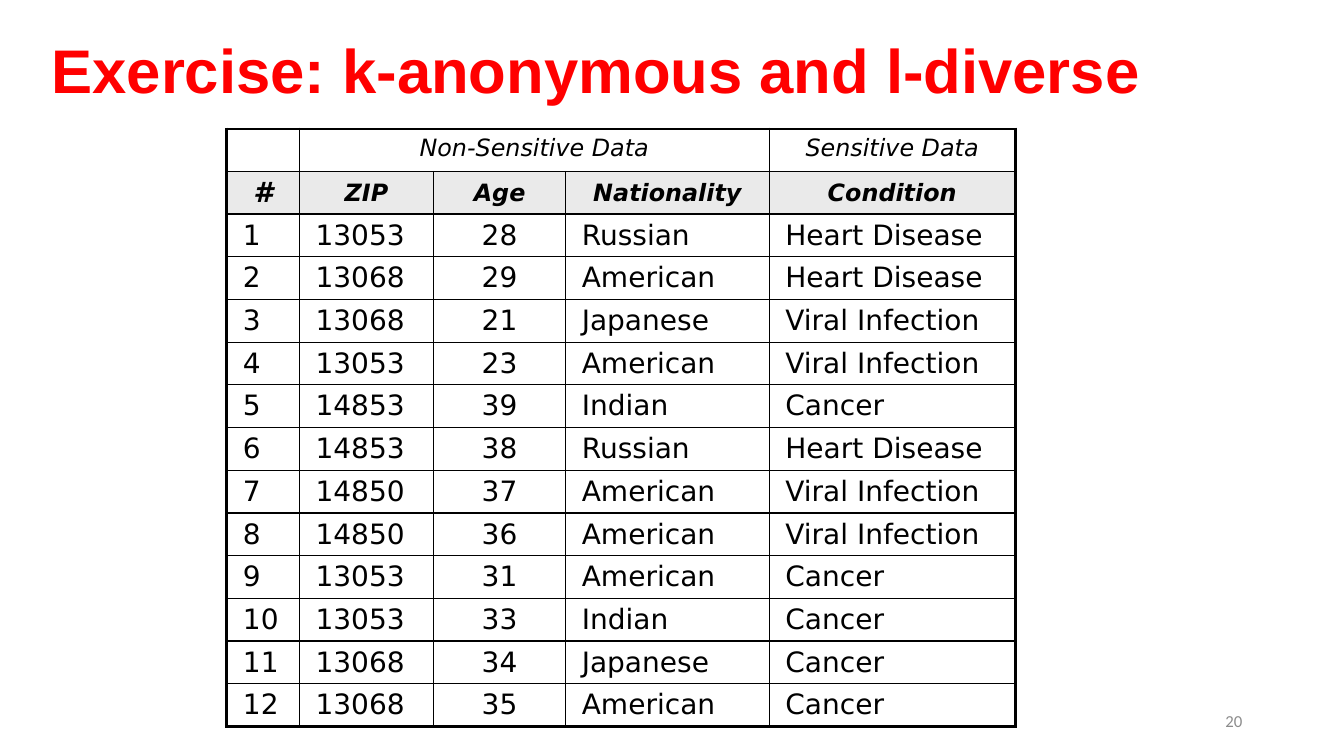
from dataclasses import dataclass
from typing import Any, NamedTuple

from lxml.etree import SubElement
from pptx import Presentation
from pptx.dml.color import RGBColor as Color
from pptx.enum.text import MSO_ANCHOR as Anchor, MSO_AUTO_SIZE as AutoSize, PP_ALIGN as Align
from pptx.oxml.ns import qn
from pptx.util import Emu, Inches, Pt


@dataclass(frozen=True)
class Theme:
    title: str = "FF0000"
    ink: str = "000000"
    header: str = "EAEAEA"
    paper: str = "FFFFFF"
    footer: str = "8C8C8C"
    title_size: int = 44
    body_size: int = 20
    header_size: int = 17
    footer_size: int = 12
    thin: float = 1
    thick: float = 2.25
    title_font: str = "Arial"
    table_font: str = "DejaVu Sans"
    footer_font: str = "Calibri"


class Area(NamedTuple):
    left: float
    top: float
    width: float
    height: float


class Style(NamedTuple):
    font: str
    size: int
    color: str
    align: Align = Align.LEFT
    bold: bool = False
    italic: bool = False


class Patient(NamedTuple):
    zip_code: str
    age: str
    nationality: str
    condition: str


THEME = Theme()
SLIDE_WIDTH, SLIDE_HEIGHT = Inches(13.33), Inches(7.5)
TITLE_AREA = Area(3.08, 0, 86.27, 19.33)
NUMBER_AREA = Area(70.67, 92.67, 22.5, 5.33)
TABLE_LEFT, TABLE_TOP = 16.88, 17.07
COLUMN_SHARES = (5.4, 9.98, 9.83, 15.15, 18.3)
ROW_SHARE = 5.6
AGE_COLUMN = 2

GROUPS = ("", "Non-Sensitive Data", "", "", "Sensitive Data")
HEADINGS = ("#", "ZIP", "Age", "Nationality", "Condition")
PATIENTS = (
    Patient("13053", "28", "Russian", "Heart Disease"),
    Patient("13068", "29", "American", "Heart Disease"),
    Patient("13068", "21", "Japanese", "Viral Infection"),
    Patient("13053", "23", "American", "Viral Infection"),
    Patient("14853", "39", "Indian", "Cancer"),
    Patient("14853", "38", "Russian", "Heart Disease"),
    Patient("14850", "37", "American", "Viral Infection"),
    Patient("14850", "36", "American", "Viral Infection"),
    Patient("13053", "31", "American", "Cancer"),
    Patient("13053", "33", "Indian", "Cancer"),
    Patient("13068", "34", "Japanese", "Cancer"),
    Patient("13068", "35", "American", "Cancer"),
)


def across(share: float) -> Emu:
    return Emu(round(SLIDE_WIDTH * share / 100))


def down(share: float) -> Emu:
    return Emu(round(SLIDE_HEIGHT * share / 100))


def place(area: Area) -> tuple[Emu, Emu, Emu, Emu]:
    return across(area.left), down(area.top), across(area.width), down(area.height)


def assign(target: Any, values: dict[str, Any]) -> None:
    for name, value in values.items():
        setattr(target, name, value)


def write(frame: Any, text: str, style: Style) -> None:
    para = frame.paragraphs[0]
    para.alignment = style.align
    span = para.add_run()
    span.text = text
    assign(span.font, {"name": style.font, "size": Pt(style.size),
                       "bold": style.bold, "italic": style.italic})
    span.font.color.rgb = Color.from_string(style.color)


def add_title(page: Any) -> None:
    box = page.shapes.title
    assign(box, dict(zip(("left", "top", "width", "height"), place(TITLE_AREA))))
    assign(box.text_frame, {"word_wrap": True, "auto_size": AutoSize.NONE,
                            "vertical_anchor": Anchor.MIDDLE})
    write(box.text_frame, "Exercise: k-anonymous and l-diverse",
          Style(THEME.title_font, THEME.title_size, THEME.title, bold=True))
    box.text_frame.paragraphs[0].line_spacing = 0.9


def add_page_number(page: Any) -> None:
    box = page.shapes.add_textbox(*place(NUMBER_AREA))
    assign(box.text_frame, {"word_wrap": True, "vertical_anchor": Anchor.MIDDLE})
    write(box.text_frame, "20",
          Style(THEME.footer_font, THEME.footer_size, THEME.footer, Align.RIGHT))


def cell_style(row: int, column: int) -> Style:
    is_header = row < 2
    is_large = not is_header or (row, column) == (1, 0)
    return Style(
        THEME.table_font,
        THEME.body_size if is_large else THEME.header_size,
        THEME.ink,
        Align.CENTER if is_header or column == AGE_COLUMN else Align.LEFT,
        bold=row == 1,
        italic=is_header,
    )


def draw_borders(cell: Any, outer_edges: dict[str, bool]) -> None:
    properties = cell._tc.get_or_add_tcPr()
    for position, (edge, is_outer) in enumerate(outer_edges.items()):
        width = THEME.thick if is_outer else THEME.thin
        line = SubElement(properties, qn(f"a:{edge}"), w=str(Pt(width)))
        SubElement(SubElement(line, qn("a:solidFill")), qn("a:srgbClr"), val=THEME.ink)
        properties.insert(position, line)


def add_patient_table(page: Any) -> None:
    numbered = [(str(number), *patient) for number, patient in enumerate(PATIENTS, 1)]
    rows = [GROUPS, HEADINGS, *numbered]
    area = Area(TABLE_LEFT, TABLE_TOP, sum(COLUMN_SHARES), ROW_SHARE * len(rows))
    table = page.shapes.add_table(len(rows), len(HEADINGS), *place(area)).table
    assign(table, {"first_row": False, "horz_banding": False})
    for column, share in zip(table.columns, COLUMN_SHARES):
        column.width = across(share)
    last_row, last_column = len(rows) - 1, len(HEADINGS) - 1
    for row, texts in enumerate(rows):
        table.rows[row].height = down(ROW_SHARE)
        for column, text in enumerate(texts):
            cell = table.cell(row, column)
            assign(cell, {
                "margin_left": Inches(0.16), "margin_right": Inches(0.16),
                "margin_top": Inches(0.05), "margin_bottom": Inches(0.05),
                "vertical_anchor": Anchor.MIDDLE if row == 1 else Anchor.TOP,
            })
            cell.fill.solid()
            cell.fill.fore_color.rgb = Color.from_string(THEME.header if row == 1 else THEME.paper)
            draw_borders(cell, {"lnL": column == 0, "lnR": column == last_column,
                                "lnT": row == 0, "lnB": row == last_row})
            if text:
                write(cell.text_frame, text, cell_style(row, column))
    table.cell(0, 1).merge(table.cell(0, 3))


def main() -> None:
    deck = Presentation()
    assign(deck, {"slide_width": SLIDE_WIDTH, "slide_height": SLIDE_HEIGHT})
    page = deck.slides.add_slide(deck.slide_layouts[5])
    add_title(page)
    add_patient_table(page)
    add_page_number(page)
    deck.save("out.pptx")


if __name__ == "__main__":
    main()
